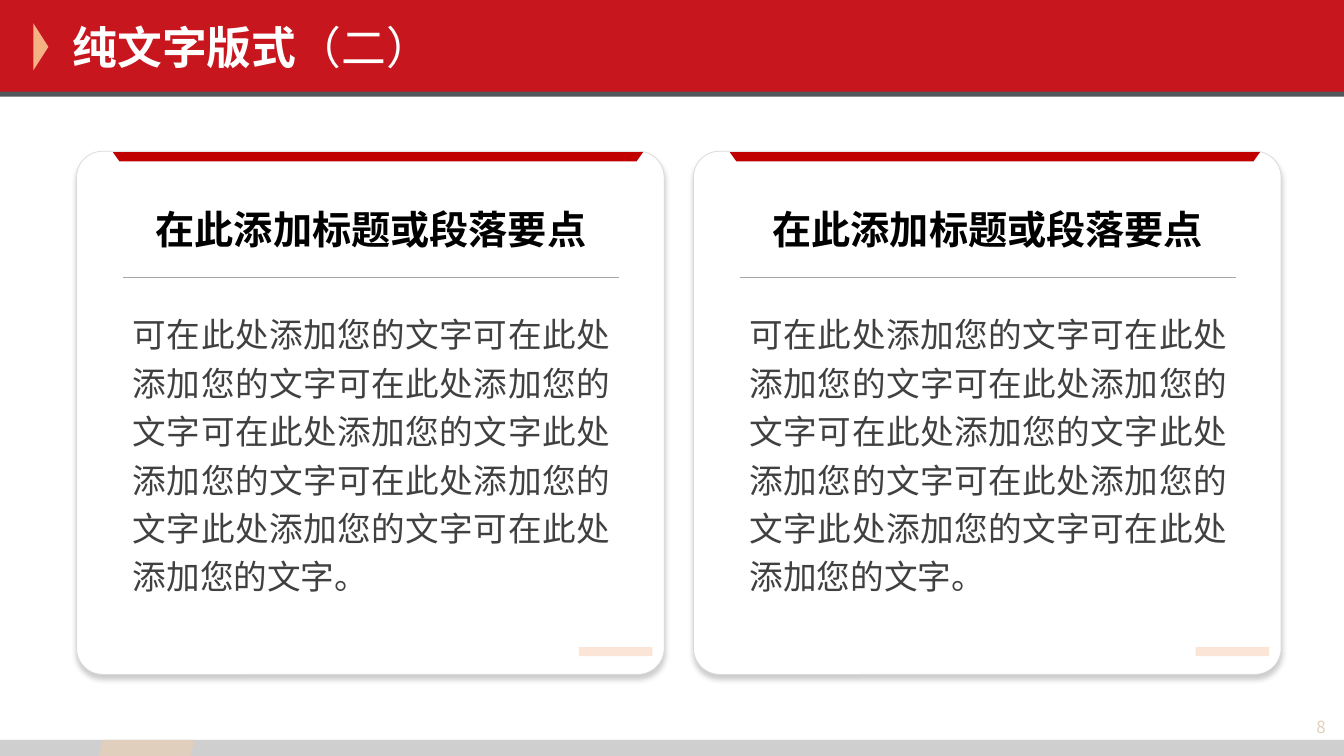
from dataclasses import dataclass

from lxml import etree
from pptx import Presentation
from pptx import util as u
from pptx.dml.color import RGBColor
from pptx.enum import shapes, text
from pptx.oxml import ns

Pt = u.Pt
MSO = shapes.MSO_SHAPE
ALIGN = text.PP_ALIGN
FONT = "Noto Sans CJK SC"
CARD_LEFTS = (54.72, 495.36)
HEADING = "在此添加标题或段落要点"
BODY = ("可在此处添加您的文字可在此处添加您的文字可在此处添加您的文字"
        "可在此处添加您的文字此处添加您的文字可在此处添加您的文字"
        "此处添加您的文字可在此处添加您的文字。")


@dataclass
class Block:
    """A preset shape; lengths in points."""
    kind: MSO
    left: float
    top: float
    width: float
    height: float
    fill: str
    rotation: float = 0
    adjust: float | None = None
    line: str | None = None
    alpha: int = 100
    shadow: bool = False


@dataclass
class Label:
    """A one-paragraph text; lengths in points."""
    left: float
    top: float
    width: float
    height: float
    runs: tuple[tuple[str, bool], ...]
    size: float
    color: str
    align: ALIGN = ALIGN.LEFT
    spacing: float = 1.0
    anchor: text.MSO_ANCHOR = text.MSO_ANCHOR.MIDDLE


def rgb(color: str) -> RGBColor:
    return RGBColor.from_string(color)


def add_xml(parent, tag: str, **attrs):
    return etree.SubElement(parent, ns.qn(tag), attrs)


def draw_block(s, b: Block) -> None:
    sp = s.shapes.add_shape(b.kind, Pt(b.left), Pt(b.top), Pt(b.width), Pt(b.height))
    sp.shadow.inherit = False
    sp.rotation = b.rotation
    if b.adjust is not None:
        sp.adjustments[0] = b.adjust
    sp.fill.solid()
    sp.fill.fore_color.rgb = rgb(b.fill)
    if b.line:
        sp.line.color.rgb = rgb(b.line)
        sp.line.width = Pt(0.5)
    else:
        sp.line.fill.background()
    if b.alpha < 100:
        clr = sp.element.spPr.find(ns.qn("a:solidFill"))[0]
        add_xml(clr, "a:alpha", val=str(b.alpha * 1000))
    if b.shadow:
        effects = sp.element.spPr.find(ns.qn("a:effectLst"))
        shade = add_xml(effects, "a:outerShdw", blurRad=str(Pt(4)), dist=str(Pt(3)),
                        dir="5400000", algn="t", rotWithShape="0")
        clr = add_xml(shade, "a:srgbClr", val="000000")
        add_xml(clr, "a:alpha", val="20000")


def write_label(sp, b: Label) -> None:
    sp.left, sp.top, sp.width, sp.height = map(Pt, (b.left, b.top, b.width, b.height))
    tf = sp.text_frame
    frame_format = {"word_wrap": True, "auto_size": text.MSO_AUTO_SIZE.NONE,
                    "vertical_anchor": b.anchor}
    for name, value in frame_format.items():
        setattr(tf, name, value)
    p = tf.paragraphs[0]
    p.alignment, p.line_spacing = b.align, b.spacing
    for words, bold in b.runs:
        r = p.add_run()
        r.text = words
        for name, value in {"size": Pt(b.size), "bold": bold, "name": FONT}.items():
            setattr(r.font, name, value)
        r.font.color.rgb = rgb(b.color)
        add_xml(r.font._element, "a:ea", typeface=FONT)


def add_label(s, b: Label) -> None:
    write_label(s.shapes.add_textbox(0, 0, 0, 0), b)


def add_rule(s, left: float, top: float, width: float) -> None:
    ln = s.shapes.add_connector(shapes.MSO_CONNECTOR.STRAIGHT,
                                Pt(left), Pt(top), Pt(left + width), Pt(top))
    ln.line.color.rgb = rgb("A6A6A6")
    ln.line.width = Pt(0.5)
    add_xml(ln.element.spPr, "a:effectLst")


def draw_card(s, x: float) -> None:
    draw_block(s, Block(MSO.ROUNDED_RECTANGLE, x, 108, 419.76, 373.68, "FFFFFF",
                        adjust=0.05, line="D9D9D9", shadow=True))
    draw_block(s, Block(MSO.TRAPEZOID, x + 25.92, 108.72, 378.72, 6.48, "C00000",
                        rotation=180, adjust=0.713))
    add_label(s, Label(x + 33.12, 215.28, 354.96, 213.84, ((BODY, False),), 24, "404040",
                       ALIGN.JUSTIFY, 1.2, text.MSO_ANCHOR.TOP))
    add_label(s, Label(x + 20.88, 135.36, 378.72, 46.8, ((HEADING, True),), 28, "000000",
                       ALIGN.CENTER, 1.3))
    add_rule(s, x + 33.12, 198, 354.24)
    draw_block(s, Block(MSO.RECTANGLE, x + 358.74, 462.24, 52.56, 6.48, "FBE5D6"))


def main() -> None:
    prs = Presentation()
    prs.slide_width, prs.slide_height = Pt(960), Pt(540)
    s = prs.slides.add_slide(prs.slide_layouts[5])

    # Header and footer bands
    for band in (
        Block(MSO.PARALLELOGRAM, 0, 0, 960, 65.5, "C8161E", adjust=0),
        Block(MSO.ISOSCELES_TRIANGLE, 12.24, 28.08, 33.84, 10.8, "F4B183", rotation=90),
        Block(MSO.RECTANGLE, 0, 65.5, 960, 3.6, "52575C"),
        Block(MSO.RECTANGLE, 0, 528.48, 960, 11.52, "BFBFBF", alpha=75),
        Block(MSO.PARALLELOGRAM, 70.56, 528.48, 68.4, 11.52, "E0CFBD"),
    ):
        draw_block(s, band)

    # Title, raised above the header band
    title = s.shapes.title
    title.element.getparent().append(title.element)
    write_label(title, Label(44.64, 10.08, 769.68, 46.8,
                             (("纯文字版式", True), ("（二）", False)), 32, "FFFFFF"))

    # Text cards
    for x in CARD_LEFTS:
        draw_card(s, x)

    # Page number
    add_label(s, Label(872.64, 505.44, 81.36, 27.36, (("8", False),), 12, "E0CFBD",
                       ALIGN.RIGHT))
    prs.save("out.pptx")


if __name__ == "__main__":
    main()
